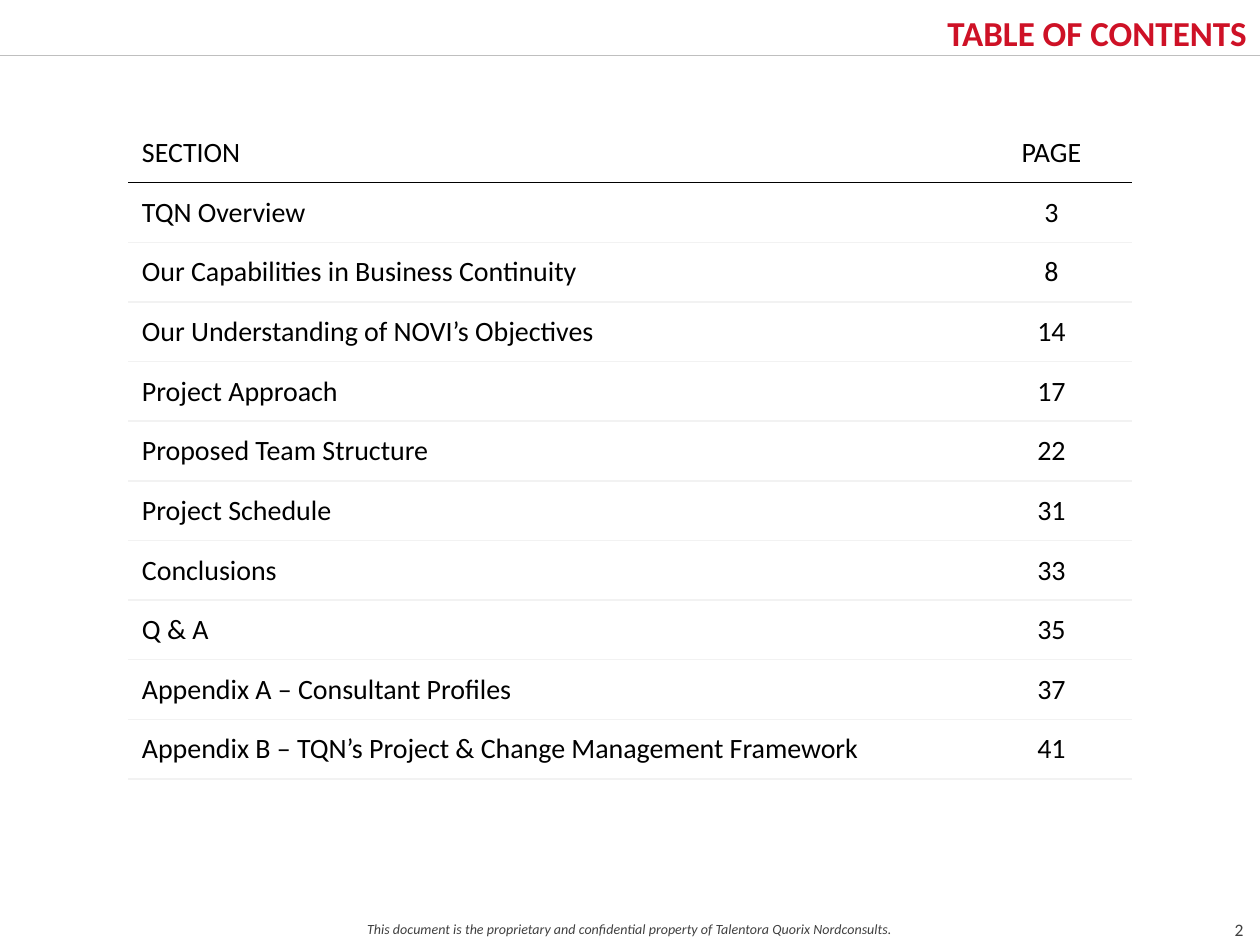
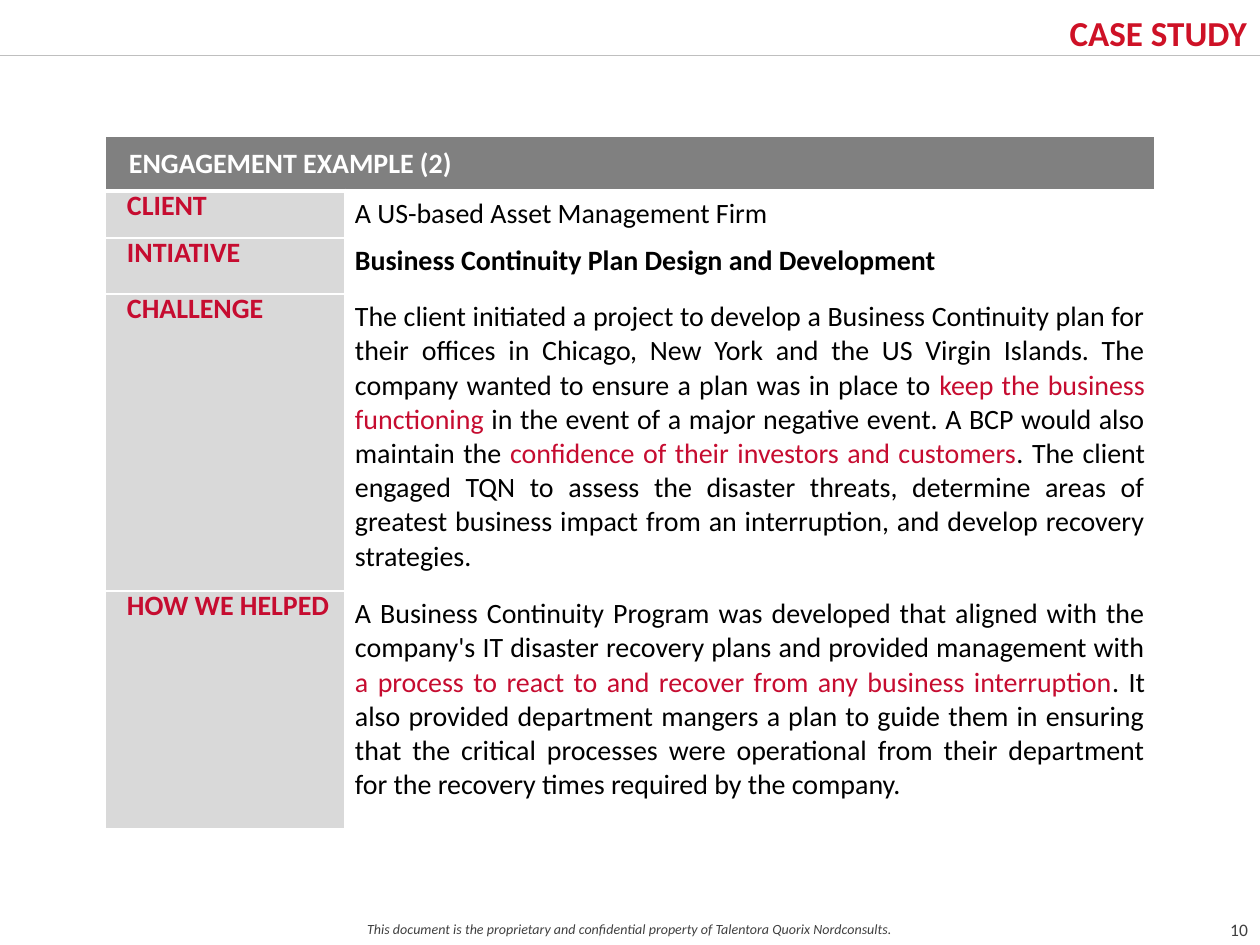
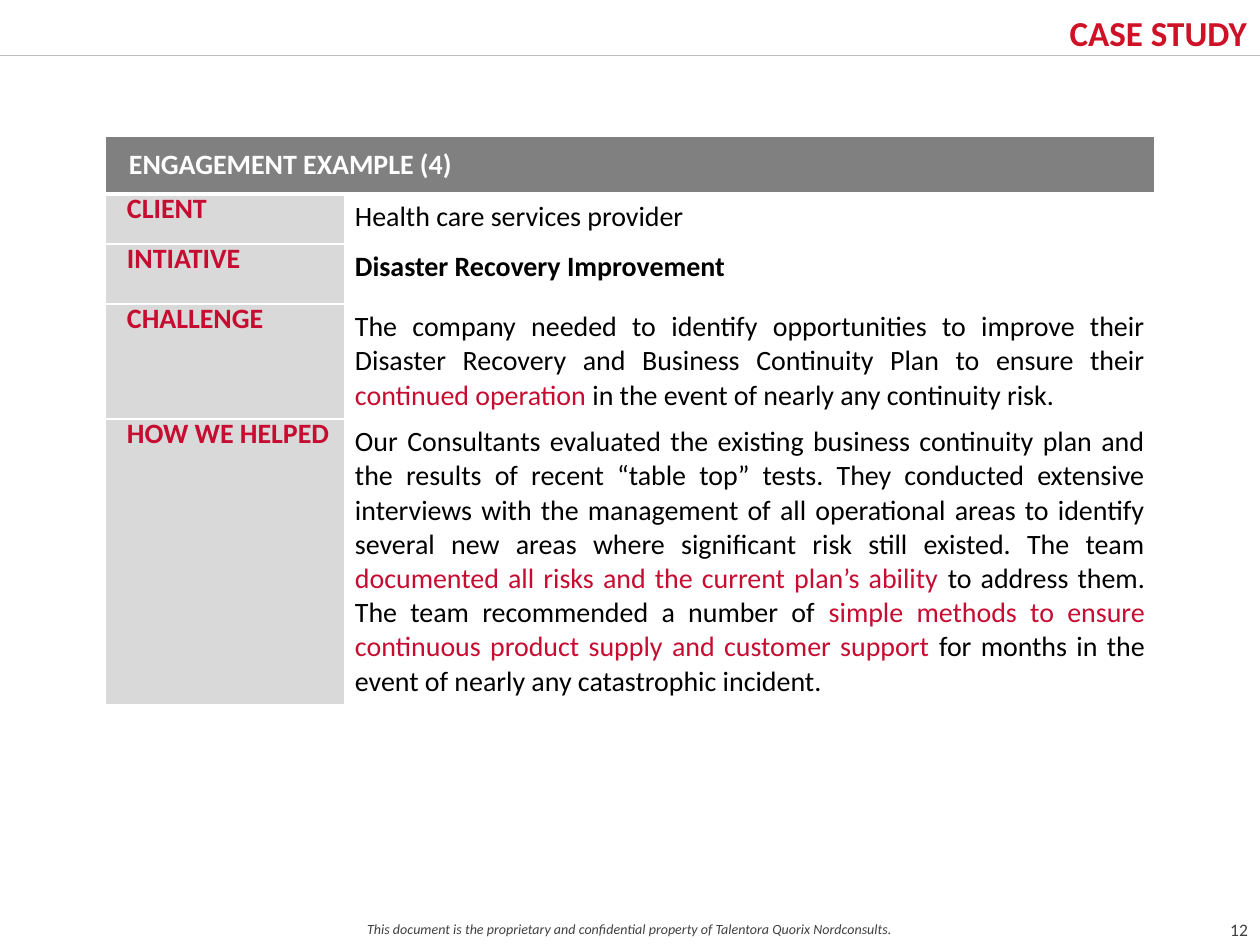
"""Builds a contents slide and two case study slides for a continuity proposal."""
from lxml import etree
from pptx import Presentation
from pptx.dml.color import RGBColor
from pptx.enum.shapes import MSO_CONNECTOR
from pptx.enum.text import MSO_ANCHOR, PP_ALIGN
from pptx.oxml.ns import qn
from pptx.util import Pt

PX = 914400 / 126
FONT = "Calibri"
TITLE_RED = RGBColor(0xCE, 0x11, 0x26)
ACCENT_RED = RGBColor(0xC6, 0x0C, 0x30)
BLACK = RGBColor(0, 0, 0)
WHITE = RGBColor(0xFF, 0xFF, 0xFF)
DARK_GRAY = RGBColor(0x40, 0x40, 0x40)
BAND_GRAY = RGBColor(0x80, 0x80, 0x80)
RULE_GRAY = RGBColor(0xBF, 0xBF, 0xBF)
LABEL_GRAY = RGBColor(0xD9, 0xD9, 0xD9)
PALE_GRAY = RGBColor(0xF2, 0xF2, 0xF2)
LEFT, CENTER, RIGHT, JUSTIFY = PP_ALIGN.LEFT, PP_ALIGN.CENTER, PP_ALIGN.RIGHT, PP_ALIGN.JUSTIFY
TOP, MIDDLE = MSO_ANCHOR.TOP, MSO_ANCHOR.MIDDLE
STRAIGHT = MSO_CONNECTOR.STRAIGHT

FOOTER = "This document is the proprietary and confidential property of Talentora Quorix Nordconsults."
PAGES = [("TABLE OF CONTENTS", 2), ("CASE STUDY", 10), ("CASE STUDY", 12)]
CONTENTS = [
    ("SECTION", "PAGE"),
    ("TQN Overview", "3"),
    ("Our Capabilities in Business Continuity", "8"),
    ("Our Understanding of NOVI’s Objectives", "14"),
    ("Project Approach", "17"),
    ("Proposed Team Structure", "22"),
    ("Project Schedule", "31"),
    ("Conclusions", "33"),
    ("Q & A", "35"),
    ("Appendix A – Consultant Profiles", "37"),
    ("Appendix B – TQN’s Project & Change Management Framework", "41"),
]
LABELS = ["CLIENT", "INTIATIVE", "CHALLENGE", "HOW WE HELPED"]
CASES = [
    ("ENGAGEMENT EXAMPLE (2)", [55, 47, 56, 297, 238], [
        "A US-based Asset Management Firm",
        "Business Continuity Plan Design and Development",
        "The client initiated a project to develop a Business Continuity plan for their offices in "
        "Chicago, New York and the US Virgin Islands. The company wanted to ensure a plan was in "
        "place to |keep the business functioning |in the event of a major negative event. A BCP "
        "would also maintain the |confidence of their investors and customers|. The client engaged "
        "TQN to assess the disaster threats, determine areas of greatest business impact from an "
        "interruption, and develop recovery strategies.",
        "A Business Continuity Program was developed that aligned with the company's IT disaster "
        "recovery plans and provided management with |a process to react to and recover from any "
        "business interruption|. It also provided department mangers a plan to guide them in "
        "ensuring that the critical processes were operational from their department for the "
        "recovery times required by the company.",
    ]),
    ("ENGAGEMENT EXAMPLE (4)", [58, 50, 60, 115, 286], [
        "Health care services provider",
        "Disaster Recovery Improvement",
        "The company needed to identify opportunities to improve their Disaster Recovery and "
        "Business Continuity Plan to ensure their |continued operation |in the event of nearly any "
        "continuity risk.",
        "Our Consultants evaluated the existing business continuity plan and the results of recent "
        "“table top” tests. They conducted extensive interviews with the management of all "
        "operational areas to identify several new areas where significant risk still existed. The "
        "team |documented all risks and the current plan’s ability |to address them. The team "
        "recommended a number of |simple methods to ensure continuous product supply and customer "
        "support |for months in the event of nearly any catastrophic incident.",
    ]),
]


def write_text(holder, text, size=16, color=BLACK, bold=False, italic=False, align=LEFT,
               anchor=TOP, margins=(10, 6, 10, 6), line_spacing=None):
    """Fill a text box or cell; every second part between bars is highlighted."""
    frame = holder.text_frame
    frame.word_wrap = True
    target = frame if hasattr(holder, "shape_id") else holder
    target.vertical_anchor = anchor
    target.margin_left, target.margin_top, target.margin_right, target.margin_bottom = [
        int(margin * PX) for margin in margins]
    paragraph = frame.paragraphs[0]
    paragraph.alignment = align
    if line_spacing:
        paragraph.line_spacing = Pt(line_spacing)
    for index, part in enumerate(text.split("|")):
        run = paragraph.add_run()
        run.text = part
        run.font.name, run.font.size = FONT, Pt(size)
        run.font.bold, run.font.italic = bold, italic
        run.font.color.rgb = ACCENT_RED if index % 2 else color


def style_cell(cell, fill, top, bottom, sides=(WHITE, 1)):
    """Set the borders, each a colour and a width in points, and the fill."""
    properties = cell._tc.get_or_add_tcPr()
    for tag, (color, width) in zip(("a:lnL", "a:lnR", "a:lnT", "a:lnB"), (sides, sides, top, bottom)):
        line = etree.SubElement(properties, qn(tag), w=str(Pt(width)))
        solid = etree.SubElement(line, qn("a:solidFill"))
        etree.SubElement(solid, qn("a:srgbClr"), val=str(color))
    cell.fill.solid()
    cell.fill.fore_color.rgb = fill


presentation = Presentation()
presentation.slide_width, presentation.slide_height = int(1260 * PX), int(945 * PX)

slides = []
for title, page in PAGES:
    slide = presentation.slides.add_slide(presentation.slide_layouts[6])
    slides.append(slide)
    rule = slide.shapes.add_connector(STRAIGHT, 0, int(55 * PX), int(1260 * PX), int(55 * PX))
    rule.line.color.rgb = RULE_GRAY
    rule.line.width = Pt(0.5)
    etree.SubElement(rule._element.spPr, qn("a:effectLst"))
    for box, text, text_format in [
        ((0, 915, 1260, 30), FOOTER,
         dict(size=8, color=DARK_GRAY, italic=True, align=CENTER, margins=(14, 6, 14, 6))),
        ((1210, 902, 58, 54), str(page),
         dict(size=10, color=DARK_GRAY, align=CENTER, anchor=MIDDLE, margins=(14, 6, 14, 6))),
        ((505, 3, 755, 53), title,
         dict(size=20, color=TITLE_RED, bold=True, align=RIGHT, margins=(0, 9, 13, 9))),
    ]:
        text_box = slide.shapes.add_textbox(*[int(length * PX) for length in box])
        write_text(text_box, text, **text_format)

tables = []
for slide, (left, top), widths, heights in [
    (slides[0], (129, 123), [843, 159], [59] * len(CONTENTS)),
    (slides[1], (105, 136), [240, 810], CASES[0][1]),
    (slides[2], (105, 136), [240, 810], CASES[1][1]),
]:
    area = [int(length * PX) for length in (left, top, sum(widths), sum(heights))]
    table = slide.shapes.add_table(len(heights), len(widths), *area).table
    table.first_row = table.horz_banding = False
    for column, width in zip(table.columns, widths):
        column.width = int(width * PX)
    for row, height in zip(table.rows, heights):
        row.height = int(height * PX)
    tables.append(table)

contents_table, *case_tables = tables
edges = [(WHITE, 1), (BLACK, 1)] + [(PALE_GRAY, 1)] * (len(CONTENTS) - 1)
for row, entry in enumerate(CONTENTS):
    for column, text in enumerate(entry):
        cell = contents_table.cell(row, column)
        style_cell(cell, WHITE, edges[row], edges[row + 1])
        write_text(cell, text, align=CENTER if column else LEFT, margins=(13, 13, 13, 13))

for table, (heading, heights, details) in zip(case_tables, CASES):
    for column in range(2):
        style_cell(table.cell(0, column), BAND_GRAY, (WHITE, 1), (WHITE, 3))
    table.cell(0, 0).merge(table.cell(0, 1))
    write_text(table.cell(0, 0), heading, color=WHITE, bold=True, anchor=MIDDLE, margins=(24, 6, 10, 6))
    for row, (label, detail) in enumerate(zip(LABELS, details), start=1):
        label_cell, detail_cell = table.cell(row, 0), table.cell(row, 1)
        for cell, fill in [(label_cell, LABEL_GRAY), (detail_cell, WHITE)]:
            style_cell(cell, fill, (WHITE, 3 if row == 1 else 1), (WHITE, 1))
        write_text(label_cell, label, color=ACCENT_RED, bold=True, margins=(22, 6, 10, 6), line_spacing=15)
        write_text(detail_cell, detail, bold=label == "INTIATIVE", align=JUSTIFY)

presentation.save("out.pptx")
